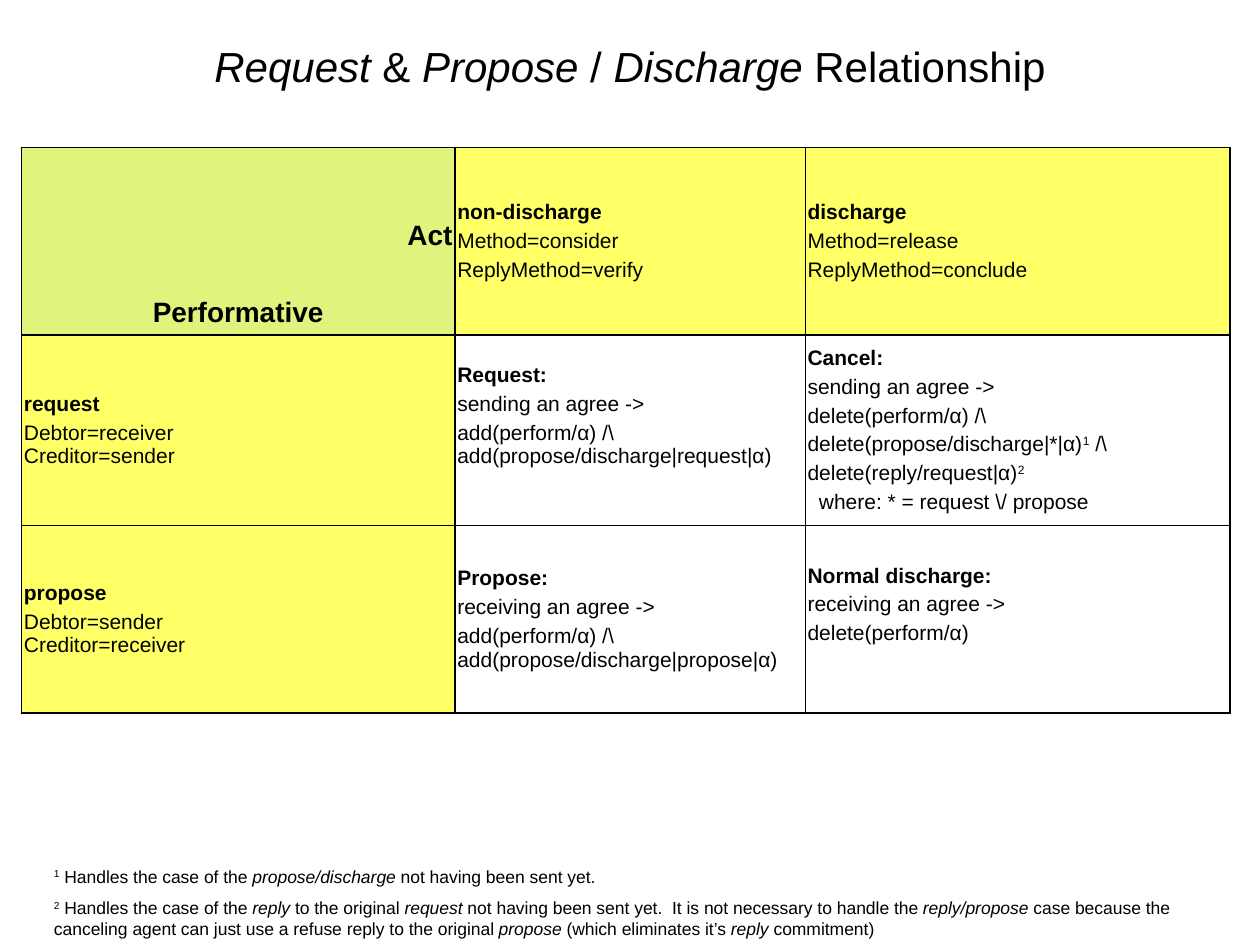
from copy import deepcopy

from lxml import etree
from pptx import Presentation
from pptx.dml.color import RGBColor
from pptx.enum.text import MSO_ANCHOR, PP_ALIGN
from pptx.oxml.ns import qn
from pptx.util import Inches, Pt

LEFT, CENTER, RIGHT = PP_ALIGN.LEFT, PP_ALIGN.CENTER, PP_ALIGN.RIGHT
TOP, MIDDLE, BOTTOM = MSO_ANCHOR.TOP, MSO_ANCHOR.MIDDLE, MSO_ANCHOR.BOTTOM

BLACK = RGBColor(0x00, 0x00, 0x00)
YELLOW = RGBColor(0xFF, 0xFF, 0x66)
LIME = RGBColor(0xE2, 0xF3, 0x7D)

FONT = "Arial"
COLUMNS = (3.44, 2.78, 3.37)
ROW_HEIGHT = 1.49
OUTER_LINE, INNER_LINE = 1.08, 0.45
LINE_SPACE = 0.23  # one 12 pt line with its spacing

TITLE = "_Request_ & _Propose_ / _Discharge_ Relationship"

# Each cell: a bold heading, then its plain lines
CELLS = [
    [
        None,
        ["non-discharge", "Method=consider", "ReplyMethod=verify"],
        ["discharge", "Method=release", "ReplyMethod=conclude"],
    ],
    [
        ["request", "Debtor=receiver\nCreditor=sender"],
        ["Request:", "sending an agree ->",
         "add(perform/α) /\\ add(propose/discharge|request|α)"],
        ["Cancel:", "sending an agree ->", "delete(perform/α) /\\",
         "delete(propose/discharge|*|α)^1^ /\\", "delete(reply/request|α)^2^",
         "where: * = request \\/ propose"],
    ],
    [
        ["propose", "Debtor=sender\nCreditor=receiver"],
        ["Propose:", "receiving an agree ->",
         "add(perform/α) /\\ add(propose/discharge|propose|α)"],
        ["Normal discharge:", "receiving an agree ->", "delete(perform/α)"],
    ],
]
RAISED = {(1, 1), (2, 2)}  # cells whose text sits half a line above the middle

FOOTNOTES = [
    "^1^ Handles the case of the _propose/discharge_ not having been sent yet.",
    "^2^ Handles the case of the _reply_ to the original _request_ not having "
    "been sent yet.  It is not necessary to handle the _reply/propose_ case "
    "because the canceling agent can just use a refuse reply to the original "
    "_propose_ (which eliminates it’s _reply_ commitment)",
]


def add_text(frame, text, size=12, bold=False, align=LEFT, before=0, indent=0):
    """Add a paragraph; _x_ is italic, ^x^ is superscript, a newline is a break."""
    paragraph = frame.paragraphs[0]
    if paragraph.runs:
        paragraph = frame.add_paragraph()
        paragraph.space_before = Pt(before)
    paragraph.alignment = align
    if indent:
        paragraph._p.get_or_add_pPr().set("marL", str(Inches(indent)))
    for i, styled in enumerate(text.split("_")):
        for j, raised in enumerate(styled.split("^")):
            for k, line in enumerate(raised.split("\n")):
                if k:
                    line_break = paragraph._p.add_br()
                    line_break.append(deepcopy(run._r.rPr))
                if not line:
                    continue
                run = paragraph.add_run()
                run.text = line
                font = run.font
                font.name, font.size, font.bold = FONT, Pt(size), bold
                font.italic = i % 2 == 1
                font.color.rgb = BLACK
                if j % 2:
                    font._element.set("baseline", "30000")


def add_box(slide, box, anchor):
    frame = slide.shapes.add_textbox(*map(Inches, box)).text_frame
    frame.word_wrap = True
    frame.vertical_anchor = anchor
    return frame


def set_borders(cell, row, column):
    """Grid line 2 in each direction is thin, the others are thick."""
    edges = {"a:lnL": column, "a:lnR": column + 1, "a:lnT": row, "a:lnB": row + 1}
    properties = cell._tc.get_or_add_tcPr()
    for tag, grid_line in edges.items():
        width = INNER_LINE if grid_line == 2 else OUTER_LINE
        line = etree.SubElement(properties, qn(tag), w=str(Pt(width)))
        fill = etree.SubElement(line, qn("a:solidFill"))
        etree.SubElement(fill, qn("a:srgbClr"), val=str(BLACK))


def draw_title(slide, box):
    add_text(add_box(slide, box, MIDDLE), TITLE, size=24, align=CENTER)


def draw_corner(cell):
    cell.vertical_anchor = BOTTOM
    add_text(cell.text_frame, "Act", size=16, bold=True, align=RIGHT)
    add_text(cell.text_frame, "Performative", size=16, bold=True,
             align=CENTER, before=26.4)


def draw_cell(cell, lines):
    cell.vertical_anchor = MIDDLE
    for number, line in enumerate(lines):
        add_text(cell.text_frame, line, bold=number == 0, before=3,
                 indent=0.09 if line.startswith("where") else 0)


def draw_table(slide, left, top):
    rows = len(CELLS)
    table = slide.shapes.add_table(
        rows, len(COLUMNS), Inches(left), Inches(top),
        Inches(sum(COLUMNS)), Inches(rows * ROW_HEIGHT)).table
    table.first_row = table.horz_banding = False
    for column, width in zip(table.columns, COLUMNS):
        column.width = Inches(width)
    for r, row in enumerate(CELLS):
        table.rows[r].height = Inches(ROW_HEIGHT)
        for c, lines in enumerate(row):
            cell = table.cell(r, c)
            cell.margin_left = cell.margin_right = Inches(0.02)
            cell.margin_top = Inches(0.05)
            cell.margin_bottom = Inches(0.05 + LINE_SPACE * ((r, c) in RAISED))
            set_borders(cell, r, c)
            if r and c:
                cell.fill.background()
            else:
                cell.fill.solid()
                cell.fill.fore_color.rgb = YELLOW if lines else LIME
            if lines:
                draw_cell(cell, lines)
            else:
                draw_corner(cell)


def draw_footnotes(slide, box):
    frame = add_box(slide, box, TOP)
    for note in FOOTNOTES:
        add_text(frame, note, size=10, before=6.2)


def main():
    deck = Presentation()
    deck.slide_width, deck.slide_height = Inches(10), Inches(7.5)
    slide = deck.slides.add_slide(deck.slide_layouts[6])
    draw_title(slide, (0.5, 0.3, 9, 0.45))
    draw_table(slide, 0.17, 1.17)
    draw_footnotes(slide, (0.33, 6.82, 9.08, 0.69))
    deck.save("out.pptx")


if __name__ == "__main__":
    main()
